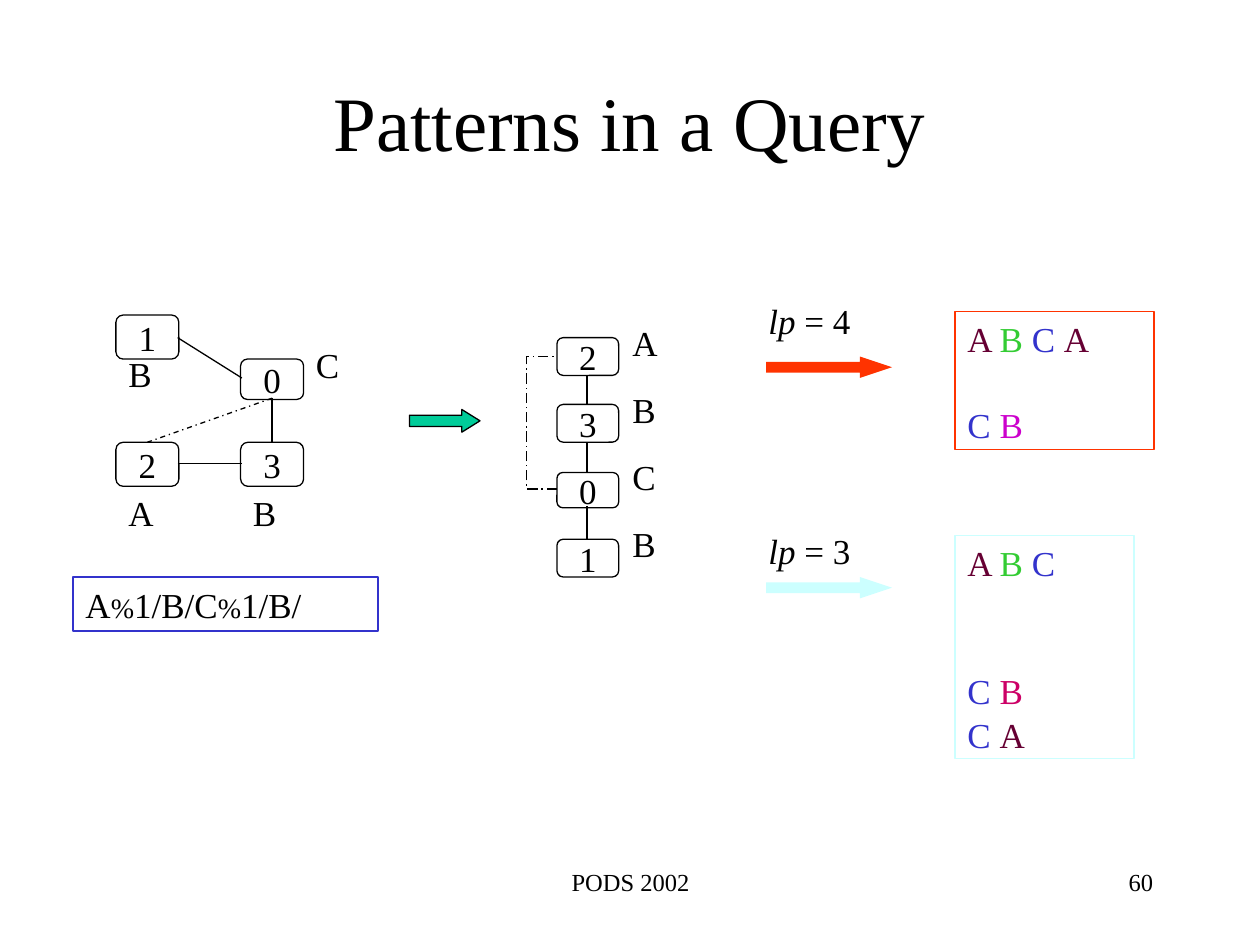
from pptx import Presentation
from pptx.dml.color import RGBColor
from pptx.enum.dml import MSO_LINE
from pptx.enum.shapes import MSO_CONNECTOR, MSO_SHAPE
from pptx.enum.text import MSO_ANCHOR, PP_ALIGN
from pptx.oxml.ns import qn
from pptx.util import Inches, Pt
from lxml import etree

FONT = "Times New Roman"
BLACK, BLUE, RED, CYAN = "000000", "3333CC", "FF3300", "CCFFFF"
MAROON, GREEN = "660033", "33CC33"


def rgb(hex_color):
    return RGBColor.from_string(hex_color)


def add_item(box, lines=(), kind=None, fill=None, line=None,
             size=20, align=PP_ALIGN.LEFT):
    """Add a shape, or a text box when kind is None.

    Each line is (space before, runs); each run is (text, font settings).
    """
    left, top, width, height = map(Inches, box)
    if kind is None:
        shape = slide.shapes.add_textbox(left, top, width, height)
    else:
        shape = slide.shapes.add_shape(kind, left, top, width, height)
        shape.shadow.inherit = False
    if fill:
        shape.fill.solid()
        shape.fill.fore_color.rgb = rgb(fill)
    else:
        shape.fill.background()
    if line:
        shape.line.color.rgb = rgb(line)
        shape.line.width = Pt(0.75)
    else:
        shape.line.fill.background()
    frame = shape.text_frame
    frame.word_wrap = True
    frame.vertical_anchor = MSO_ANCHOR.TOP
    for index, (space, runs) in enumerate(lines):
        paragraph = frame.add_paragraph() if index else frame.paragraphs[0]
        paragraph.alignment = align
        paragraph.space_before = Pt(space)
        paragraph.font.name = FONT
        paragraph.font.size = Pt(size)
        paragraph.font.color.rgb = rgb(BLACK)
        for text, settings in runs:
            run = paragraph.add_run()
            run.text = text
            run.font.name = FONT
            run.font.size = Pt(settings.get("size", size))
            run.font.italic = settings.get("italic")
            run.font.color.rgb = rgb(settings.get("color", BLACK))
    return shape


presentation = Presentation()
presentation.slide_width = Inches(10)
presentation.slide_height = Inches(7.5)
slide = presentation.slides.add_slide(presentation.slide_layouts[5])

# Title
title = slide.shapes.title
title.left, title.top = Inches(0.75), Inches(0.33)
title.width, title.height = Inches(8.5), Inches(1.25)
title.text_frame.text = "Patterns in a Query"
title.text_frame.vertical_anchor = MSO_ANCHOR.MIDDLE
paragraph = title.text_frame.paragraphs[0]
paragraph.alignment = PP_ALIGN.CENTER
paragraph.font.name = FONT
paragraph.font.size = Pt(44)
paragraph.font.color.rgb = rgb(BLACK)

# Edges of the query graph and of the chain
edges = [
    (2.16, 3.16, 1.17, 3.51, MSO_LINE.DASH_DOT),
    (2.16, 3.16, 2.16, 3.51, None),
    (1.41, 3.68, 1.92, 3.68, None),
    (1.92, 3.00, 1.41, 2.68, None),
    (4.66, 2.98, 4.66, 3.21, None),
    (4.66, 3.51, 4.66, 3.75, None),
    (4.66, 4.02, 4.66, 4.28, None),
]
for *ends, dash in edges:
    edge = slide.shapes.add_connector(MSO_CONNECTOR.STRAIGHT, *map(Inches, ends))
    edge.line.color.rgb = rgb(BLACK)
    edge.line.width = Pt(0.75)
    if dash:
        edge.line.dash_style = dash
    etree.SubElement(edge._element.spPr, qn("a:effectLst"))

# Dashed bracket from node 0 to node 2 of the chain
builder = slide.shapes.build_freeform(Inches(4.42), Inches(3.88))
builder.add_line_segments(
    [(Inches(x), Inches(y)) for x, y in [(4.18, 3.88), (4.18, 2.83), (4.42, 2.83)]],
    close=False)
bracket = builder.convert_to_shape()
bracket.shadow.inherit = False
bracket.fill.background()
bracket.line.color.rgb = rgb(BLACK)
bracket.line.width = Pt(0.75)
bracket.line.dash_style = MSO_LINE.LONG_DASH_DOT

# Numbered nodes
nodes = [
    ("1", 0.92, 2.5, 0.5, 0.35), ("0", 1.91, 2.85, 0.5, 0.32),
    ("2", 0.92, 3.51, 0.5, 0.35), ("3", 1.91, 3.51, 0.5, 0.35),
    ("2", 4.42, 2.68, 0.49, 0.3), ("3", 4.42, 3.21, 0.49, 0.3),
    ("0", 4.42, 3.75, 0.49, 0.28), ("1", 4.42, 4.28, 0.49, 0.3),
]
for number, *box in nodes:
    node = add_item(box, [(0, [(number, {})])], MSO_SHAPE.ROUNDED_RECTANGLE,
                    line=BLACK, align=PP_ALIGN.CENTER)
    node.text_frame.word_wrap = False
    node.text_frame.vertical_anchor = MSO_ANCHOR.MIDDLE

# Letter labels: graph first, then the evenly spaced chain
labels = [("B", 0.92, 2.75), ("C", 2.41, 2.68), ("A", 0.92, 3.85), ("B", 1.91, 3.85)]
labels += [(letter, 4.92, 2.5 + 0.533 * row) for row, letter in enumerate("ABCB")]
for letter, left, top in labels:
    add_item((left, top, 0.67, 0.43), [(0, [(letter, {})])])

# Query expression
small = {"size": 16}
add_item((0.58, 4.58, 2.42, 0.43),
         [(0, [("A", {}), ("%", small), ("1/B/C", {}), ("%", small), ("1/B/", {})])],
         MSO_SHAPE.RECTANGLE, line=BLUE)

# Block arrows
arrows = [
    ((3.25, 3.25, 0.56, 0.18), "00CC99", BLACK, 0.8),
    ((6.08, 2.83, 1, 0.17), RED, None, 1.5),
    ((6.08, 4.58, 1, 0.17), CYAN, None, 1.5),
]
for box, fill, line, head in arrows:
    arrow = add_item(box, kind=MSO_SHAPE.RIGHT_ARROW, fill=fill, line=line)
    arrow.adjustments[1] = head

# Pattern length captions
for top, length in [(2.33, 4), (4.15, 3)]:
    add_item((6, top, 1.08, 0.43),
             [(0, [("lp ", {"italic": True}), (f"= {length}", {})])])

# Resulting patterns: (space before, coloured letters) for each line
results = [
    ((7.58, 2.47, 1.58, 1.1), RED, [
        (0, [("A ", MAROON), ("B ", GREEN), ("C ", BLUE), ("A", MAROON)]),
        (25, [("C ", BLUE), ("B", "CC00CC")])]),
    ((7.58, 4.25, 1.42, 1.77), CYAN, [
        (0, [("A ", MAROON), ("B ", GREEN), ("C", BLUE)]),
        (49, [("C ", BLUE), ("B", "CC0066")]),
        (1, [("C ", BLUE), ("A", MAROON)])]),
]
for box, outline, patterns in results:
    lines = [(space, [(text, {"color": color}) for text, color in letters])
             for space, letters in patterns]
    add_item(box, lines, MSO_SHAPE.RECTANGLE, line=outline)

# Footer and slide number
add_item((3.42, 6.83, 3.17, 0.5), [(0, [("PODS 2002", {})])],
         size=14, align=PP_ALIGN.CENTER)
add_item((7.17, 6.83, 2.08, 0.5), [(0, [("60", {})])],
         size=14, align=PP_ALIGN.RIGHT)

presentation.save("out.pptx")
